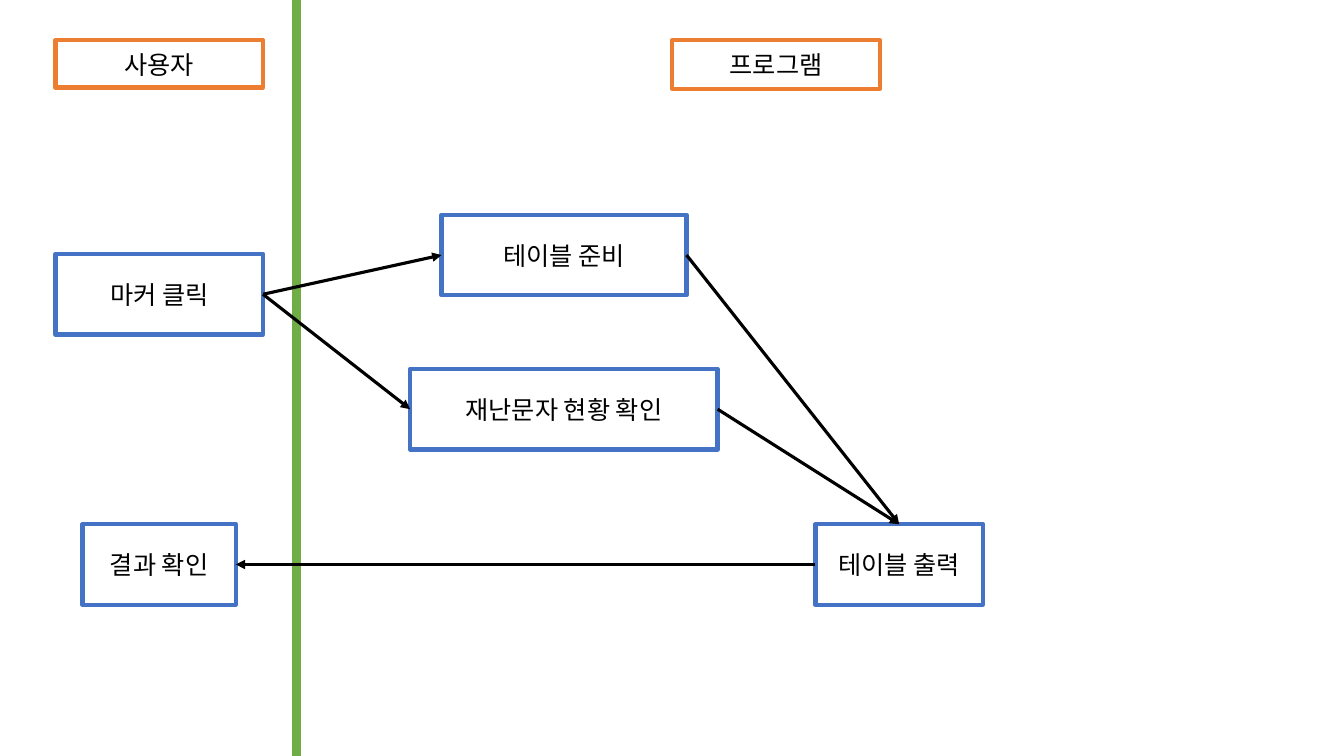
from lxml import etree
from pptx import Presentation
from pptx import util as u
from pptx.dml.color import RGBColor
from pptx.enum import shapes, text
from pptx.oxml import ns

WHITE = RGBColor(0xFF, 0xFF, 0xFF)
BLACK = RGBColor(0x00, 0x00, 0x00)
BLUE = RGBColor(0x44, 0x72, 0xC4)
ORANGE = RGBColor(0xED, 0x7D, 0x31)
GREEN = RGBColor(0x70, 0xAD, 0x47)
FONT = "Noto Sans CJK KR"
PAGE_WIDTH, PAGE_HEIGHT = 960, 540
STEP_HEIGHT = 57.6
HEADER_TOP, HEADER_WIDTH = 28.8, 148.3
TOP, LEFT, RIGHT = 0, 1, 3


def add_box(page, label, left, top, width, height, color):
    """Add a white outlined box with a centred label."""
    box = page.shapes.add_shape(
        shapes.MSO_SHAPE.RECTANGLE, u.Pt(left), u.Pt(top), u.Pt(width), u.Pt(height)
    )
    box.shadow.inherit = False
    box.fill.solid()
    box.fill.fore_color.rgb = WHITE
    box.line.color.rgb = color
    box.line.width = u.Pt(3)
    box.text_frame.word_wrap = True
    box.text_frame.vertical_anchor = text.MSO_ANCHOR.MIDDLE
    para = box.text_frame.paragraphs[0]
    para.alignment = text.PP_ALIGN.CENTER
    span = para.add_run()
    span.text = label
    span.font.size = u.Pt(18)
    span.font.color.rgb = BLACK
    span.font.name = FONT
    etree.SubElement(span.font._element, ns.qn("a:ea"), typeface=FONT)
    return box


def add_line(page, color, width, x=0, bottom=0):
    """Add a vertical straight line from the top of the page."""
    line = page.shapes.add_connector(
        shapes.MSO_CONNECTOR.STRAIGHT, u.Pt(x), 0, u.Pt(x), u.Pt(bottom)
    )
    line.line.color.rgb = color
    line.line.width = u.Pt(width)
    etree.SubElement(line._element.spPr, ns.qn("a:effectLst"))
    return line


def add_arrow(page, source, source_side, target, target_side):
    """Add an arrow glued to the sides of two boxes."""
    arrow = add_line(page, BLACK, 2.25)
    arrow.begin_connect(source, source_side)
    arrow.end_connect(target, target_side)
    etree.SubElement(arrow.line._get_or_add_ln(), ns.qn("a:tailEnd"), type="triangle")


def add_step(page, label, left, top, width):
    """Add a blue process step."""
    return add_box(page, label, left, top, width, STEP_HEIGHT, BLUE)


def main():
    """Build the user and program flow and save it."""
    deck = Presentation()
    deck.slide_width, deck.slide_height = u.Pt(PAGE_WIDTH), u.Pt(PAGE_HEIGHT)
    page = deck.slides.add_slide(deck.slide_layouts[6])

    add_line(page, GREEN, 6, 211.7, PAGE_HEIGHT)
    click = add_step(page, "마커 클릭", 39.6, 181.4, 148.3)
    prepare = add_step(page, "테이블 준비", 315.4, 153.4, 175)
    check = add_step(page, "재난문자 현황 확인", 293, 263.5, 219.6)
    output = add_step(page, "테이블 출력", 582.5, 374.4, 119.5)
    result = add_step(page, "결과 확인", 59, 374.4, 109.4)

    for step in (check, prepare):
        add_arrow(page, click, RIGHT, step, LEFT)
    for step in (prepare, check):
        add_arrow(page, step, RIGHT, output, TOP)
    add_arrow(page, output, LEFT, result, RIGHT)

    for label, left, height in (("사용자", 39.6, 33.8), ("프로그램", 480.2, 34.6)):
        add_box(page, label, left, HEADER_TOP, HEADER_WIDTH, height, ORANGE)
    deck.save("out.pptx")


if __name__ == "__main__":
    main()
